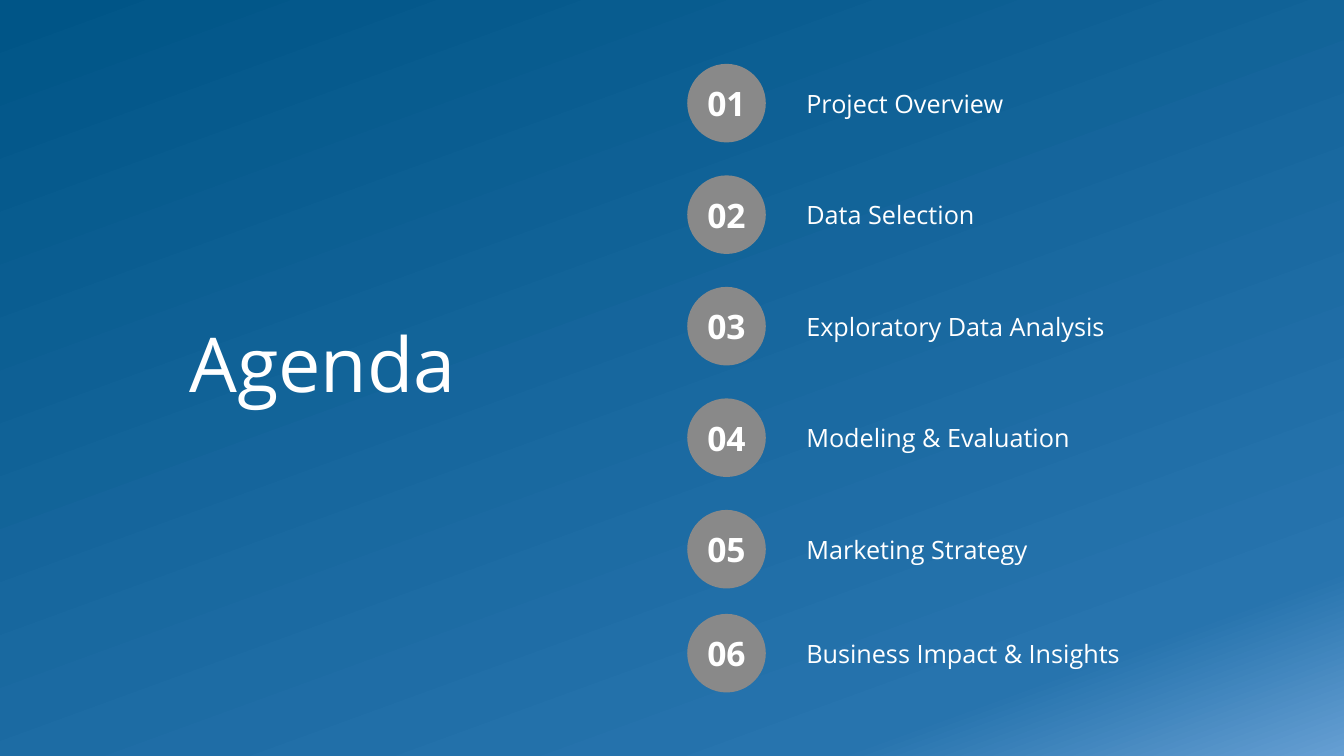
from copy import deepcopy
from dataclasses import dataclass

from pptx import Presentation
from pptx.dml.color import RGBColor
from pptx.enum.shapes import MSO_SHAPE
from pptx.enum.text import MSO_ANCHOR, MSO_AUTO_SIZE, PP_ALIGN
from pptx.util import Cm, Pt


@dataclass(frozen=True)
class Theme:
    font: str = "Open Sans"
    text: RGBColor = RGBColor.from_string("FFFFFF")
    badge: RGBColor = RGBColor.from_string("898989")
    gradient: tuple = ((0, "005587"), (0.85, "2774AE"), (1, "669FD3"))
    gradient_angle: int = 290
    title_size: int = 54
    number_size: int = 24
    topic_size: int = 18


THEME = Theme()
TOPICS = (
    "Project Overview",
    "Data Selection",
    "Exploratory Data Analysis",
    "Modeling & Evaluation",
    "Marketing Strategy",
    "Business Impact & Insights",
)


def write_text(shape, text, size, bold=False, align=PP_ALIGN.LEFT, wrap=True):
    frame = shape.text_frame
    frame.text = text
    frame.word_wrap = wrap
    frame.vertical_anchor = MSO_ANCHOR.MIDDLE
    paragraph = frame.paragraphs[0]
    paragraph.alignment = align
    font = paragraph.font
    font.name, font.size, font.bold = THEME.font, Pt(size), bold
    font.color.rgb = THEME.text


def paint_background(slide):
    fill = slide.background.fill
    fill.gradient()
    fill.gradient_angle = THEME.gradient_angle
    stop_list = slide.element.xpath(".//a:gsLst")[0]
    stop_list.append(deepcopy(stop_list[-1]))
    for stop, (position, color) in zip(fill.gradient_stops, THEME.gradient):
        stop.position = position
        stop.color.rgb = RGBColor.from_string(color)


def place_title(slide, left, top, width, height):
    title = slide.shapes.title
    title.left, title.top, title.width, title.height = left, top, width, height
    write_text(title, "Agenda", THEME.title_size, wrap=False)
    title.text_frame.auto_size = MSO_AUTO_SIZE.SHAPE_TO_FIT_TEXT


def add_agenda_item(slide, number, topic, left, top, width, height):
    badge = slide.shapes.add_shape(MSO_SHAPE.OVAL, left, top, height, height)
    badge.shadow.inherit = False
    badge.fill.solid()
    badge.fill.fore_color.rgb = THEME.badge
    badge.line.fill.background()
    write_text(badge, f"{number:02d}", THEME.number_size, True, PP_ALIGN.CENTER, False)

    indent, label_height = Cm(2.75), Cm(1.02)
    label_top = top + (height - label_height) // 2
    label = slide.shapes.add_textbox(left + indent, label_top, width - indent, label_height)
    write_text(label, topic, THEME.topic_size)
    label.text_frame.auto_size = MSO_AUTO_SIZE.SHAPE_TO_FIT_TEXT


def add_agenda_list(slide, left, top, width, height):
    item_height, pitch = Cm(1.98), Cm(2.81)
    last = len(TOPICS) - 1
    for index, topic in enumerate(TOPICS):
        offset = height - item_height if index == last else index * pitch
        add_agenda_item(slide, index + 1, topic, left, top + offset, width, item_height)


def main():
    presentation = Presentation()
    presentation.slide_width, presentation.slide_height = Cm(33.87), Cm(19.05)
    slide = presentation.slides.add_slide(presentation.slide_layouts[5])
    paint_background(slide)
    place_title(slide, Cm(4.52), Cm(7.85), Cm(7.29), Cm(2.57))
    add_agenda_list(slide, Cm(17.32), Cm(1.61), Cm(13.39), Cm(15.84))
    presentation.save("out.pptx")


if __name__ == "__main__":
    main()
